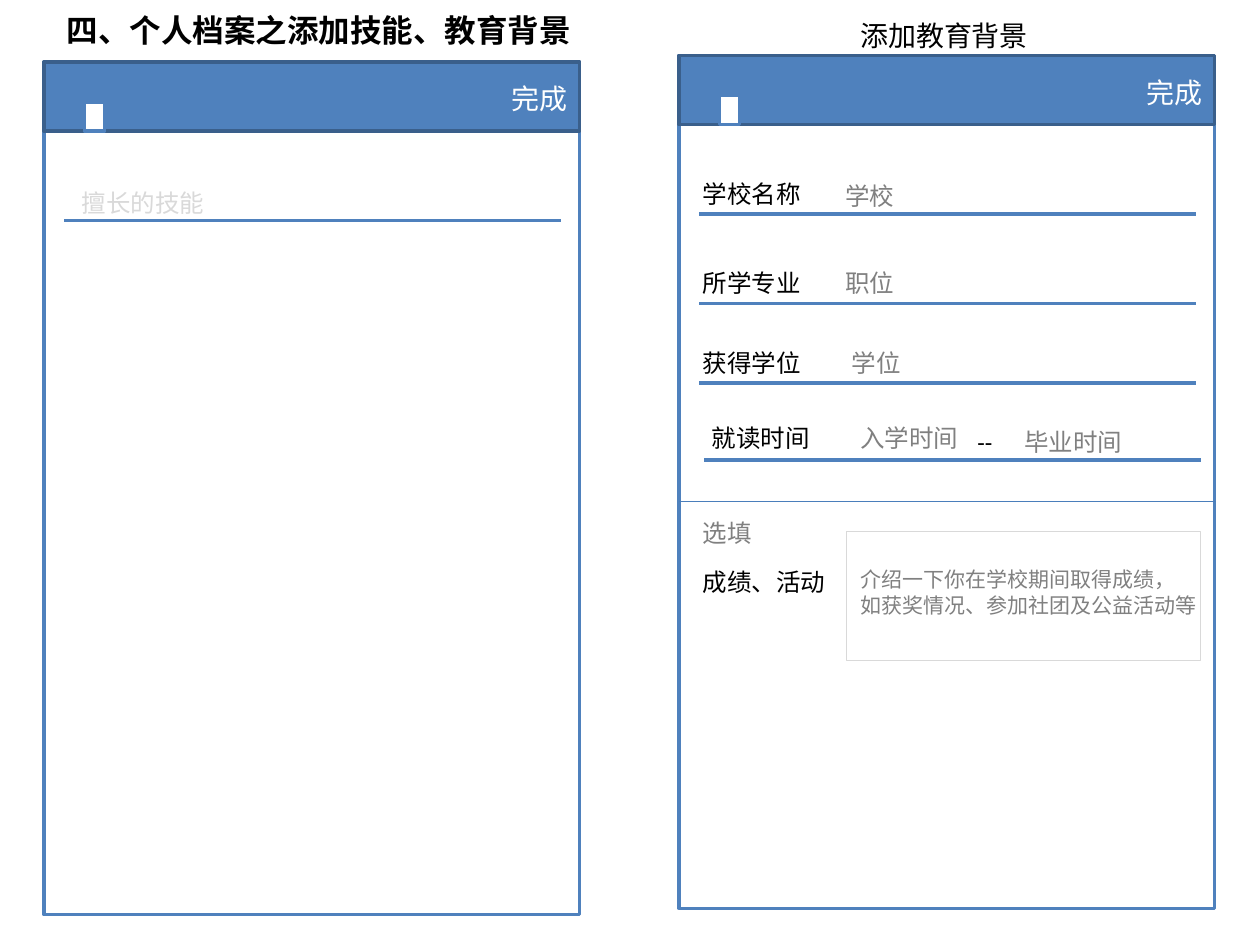
from typing import NamedTuple

from lxml import etree
from pptx import Presentation
from pptx.dml.color import RGBColor
from pptx.enum.shapes import MSO_CONNECTOR, MSO_SHAPE
from pptx.oxml.ns import qn
from pptx.util import Inches, Pt

RECT = MSO_SHAPE.RECTANGLE
STRAIGHT = MSO_CONNECTOR.STRAIGHT
FONT = "Calibri"
BLUE, NAVY, THIN = "4F81BD", "3A5F8B", "4A7EBB"
BLACK, WHITE, GREY, PALE = "000000", "FFFFFF", "808080", "D9D9D9"
WIDTH, RULE = 4.25, 3.94


class Label(NamedTuple):
    text: str
    left: float
    top: float
    width: float
    color: str = BLACK


class Line(NamedTuple):
    left: float
    top: float
    width: float = RULE
    color: str = BLUE
    weight: float = 2


LINES = [
    Line(0.51, 1.75),
    Line(5.55, 1.7),
    Line(5.55, 2.41),
    Line(5.55, 3.04),
    Line(5.59, 3.65),
    Line(5.39, 3.98, 4.26, THIN, 0.75),
]

LABELS = [
    Label("擅长的技能", 0.55, 1.44, 1.2, PALE),
    Label("学校名称", 5.48, 1.37, 1),
    Label("学校", 6.61, 1.39, 0.6, GREY),
    Label("所学专业", 5.48, 2.08, 1),
    Label("职位", 6.61, 2.08, 0.6, GREY),
    Label("获得学位", 5.48, 2.71, 1),
    Label("学位", 6.66, 2.71, 0.6, GREY),
    Label("就读时间", 5.55, 3.31, 1),
    Label("入学时间", 6.73, 3.31, 1, GREY),
    Label("--", 7.66, 3.34, 0.34),
    Label("毕业时间", 8.03, 3.34, 1, GREY),
    Label("选填", 5.48, 4.06, 0.6, GREY),
    Label("成绩、活动", 5.48, 4.45, 1.2),
]


def rgb(code: str) -> RGBColor:
    return RGBColor.from_string(code)


def add_box(slide, left: float, top: float, width: float, height: float,
            fill: str = WHITE, edge: str = BLUE, weight: float = 2) -> None:
    box = slide.shapes.add_shape(
        RECT, Inches(left), Inches(top), Inches(width), Inches(height))
    box.shadow.inherit = False
    box.fill.solid()
    box.fill.fore_color.rgb = rgb(fill)
    box.line.color.rgb = rgb(edge)
    box.line.width = Pt(weight)


def add_line(slide, line: Line) -> None:
    y = Inches(line.top)
    rule = slide.shapes.add_connector(
        STRAIGHT, Inches(line.left), y, Inches(line.left + line.width), y)
    rule.line.color.rgb = rgb(line.color)
    rule.line.width = Pt(line.weight)
    etree.SubElement(rule._element.spPr, qn("a:effectLst"))


def add_text(slide, label: Label, *, height: float = 0.33, size: float = 14,
             bold: bool = False, wrap: bool = False) -> None:
    box = slide.shapes.add_textbox(
        Inches(label.left), Inches(label.top),
        Inches(label.width), Inches(height))
    frame = box.text_frame
    frame.word_wrap = wrap
    frame.text = label.text
    for para in frame.paragraphs:
        for run in para.runs:
            font = run.font
            font.name, font.size, font.bold = FONT, Pt(size), bold
            font.color.rgb = rgb(label.color)


def add_phone(slide, left: float, top: float) -> None:
    """Draw an app screen with its title bar, back mark and done button."""
    add_box(slide, left, top, WIDTH, 6.77)
    add_box(slide, left, top, WIDTH, 0.55, BLUE, NAVY)
    add_box(slide, left + 0.32, top + 0.32, 0.16, 0.23)
    done = Label("完成", left + 3.61, top + 0.11, 0.66, WHITE)
    add_text(slide, done, height=0.36, size=16)


def main() -> None:
    deck = Presentation()
    deck.slide_width, deck.slide_height = Inches(10), Inches(7.5)
    slide = deck.slides.add_slide(deck.slide_layouts[6])

    add_text(slide, Label("四、个人档案之添加技能、教育背景", 0.43, 0.04, 4.65),
             height=0.4, size=18, bold=True, wrap=True)
    add_text(slide, Label("添加教育背景", 6.73, 0.1, 1.55),
             height=0.36, size=16)
    add_phone(slide, 0.35, 0.49)
    add_phone(slide, 5.39, 0.44)
    for line in LINES:
        add_line(slide, line)
    for label in LABELS:
        add_text(slide, label)

    add_box(slide, 6.72, 4.22, 2.81, 1.02, WHITE, PALE, 0.75)
    hint = "介绍一下你在学校期间取得成绩，\n如获奖情况、参加社团及公益活动等"
    add_text(slide, Label(hint, 6.73, 4.45, 2.92, GREY), height=0.5, size=12)
    deck.save("out.pptx")


if __name__ == "__main__":
    main()
